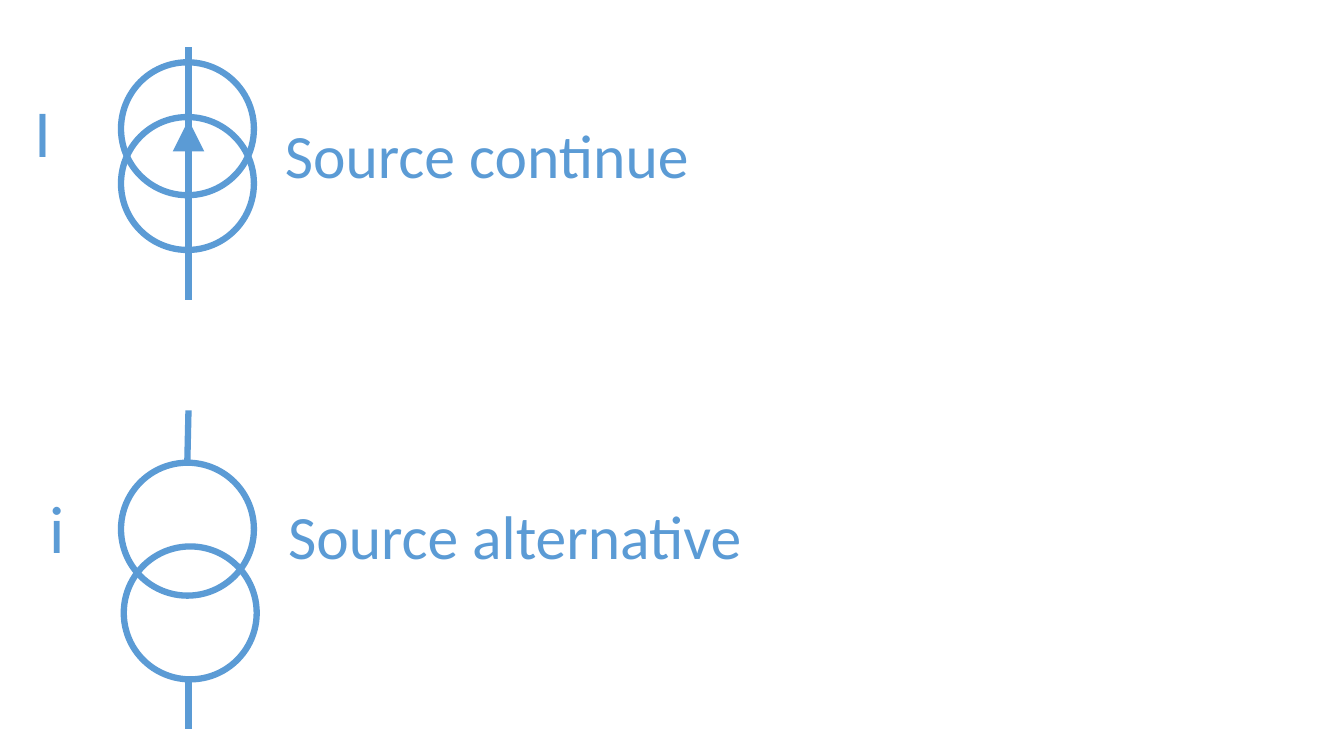
from dataclasses import dataclass

from lxml.etree import SubElement
from pptx import Presentation
from pptx.dml.color import RGBColor
from pptx.enum.shapes import MSO_CONNECTOR as Connector, MSO_SHAPE as Shape
from pptx.enum.text import MSO_AUTO_SIZE as AutoSize
from pptx.oxml.ns import qn
from pptx.slide import Slide
from pptx.util import Cm, Pt

COLOURS = {"symbol": "5B9BD5"}
LINE_WIDTH = Pt(4.5)
DIAMETER = 3.35
AXIS = 4.75  # centre line of both symbols


@dataclass
class Circle:
    left: float
    top: float


@dataclass
class Wire:
    top: float
    bottom: float
    end_x: float = AXIS
    arrow: bool = False


@dataclass
class Label:
    text: str
    left: float
    top: float
    width: float
    height: float
    size: int


# Direct source above, alternating source below
WIRES = [
    Wire(1.19, 7.57),
    Wire(10.34, 11.66, end_x=4.72),
    Wire(17.12, 18.36),
    Wire(3.02, 7.57, arrow=True),
]
CIRCLES = [Circle(3.05, 1.57), Circle(3.05, 2.95), Circle(3.05, 11.66), Circle(3.12, 13.77)]
LABELS = [
    Label("I", 0.61, 2.16, 0.94, 2.31, 48),
    Label("i", 0.99, 12.12, 0.91, 2.31, 48),
    Label("Source continue", 6.93, 2.82, 10.82, 2.13, 44),
    Label("Source alternative", 7.01, 12.42, 12.09, 2.13, 44),
]


def colour(name: str) -> RGBColor:
    return RGBColor.from_string(COLOURS[name])


def draw_outline(shape) -> None:
    shape.line.color.rgb = colour("symbol")
    shape.line.width = LINE_WIDTH


def draw_circle(page: Slide, circle: Circle) -> None:
    ring = page.shapes.add_shape(
        Shape.OVAL, Cm(circle.left), Cm(circle.top), Cm(DIAMETER), Cm(DIAMETER)
    )
    ring.shadow.inherit = False
    ring.fill.background()
    draw_outline(ring)


def draw_wire(page: Slide, wire: Wire) -> None:
    line = page.shapes.add_connector(
        Connector.STRAIGHT, Cm(AXIS), Cm(wire.top), Cm(wire.end_x), Cm(wire.bottom)
    )
    draw_outline(line)
    properties = line._element.spPr
    if wire.arrow:
        outline = properties.find(qn("a:ln"))
        SubElement(outline, qn("a:headEnd"), type="triangle", w="lg", len="lg")
    SubElement(properties, qn("a:effectLst"))


def draw_label(page: Slide, label: Label) -> None:
    box = page.shapes.add_textbox(
        Cm(label.left), Cm(label.top), Cm(label.width), Cm(label.height)
    )
    frame = box.text_frame
    frame.word_wrap = False
    frame.auto_size = AutoSize.SHAPE_TO_FIT_TEXT
    span = frame.paragraphs[0].add_run()
    span.text = label.text
    for name, value in {"name": "Calibri", "size": Pt(label.size)}.items():
        setattr(span.font, name, value)
    span.font.color.rgb = colour("symbol")


def main() -> None:
    deck = Presentation()
    for name, value in {"slide_width": Cm(33.87), "slide_height": Cm(19.05)}.items():
        setattr(deck, name, value)
    page = deck.slides.add_slide(deck.slide_layouts[6])

    # Symbols
    for wire in WIRES:
        draw_wire(page, wire)
    for circle in CIRCLES:
        draw_circle(page, circle)

    # Names of the sources
    for label in LABELS:
        draw_label(page, label)

    deck.save("out.pptx")


if __name__ == "__main__":
    main()
